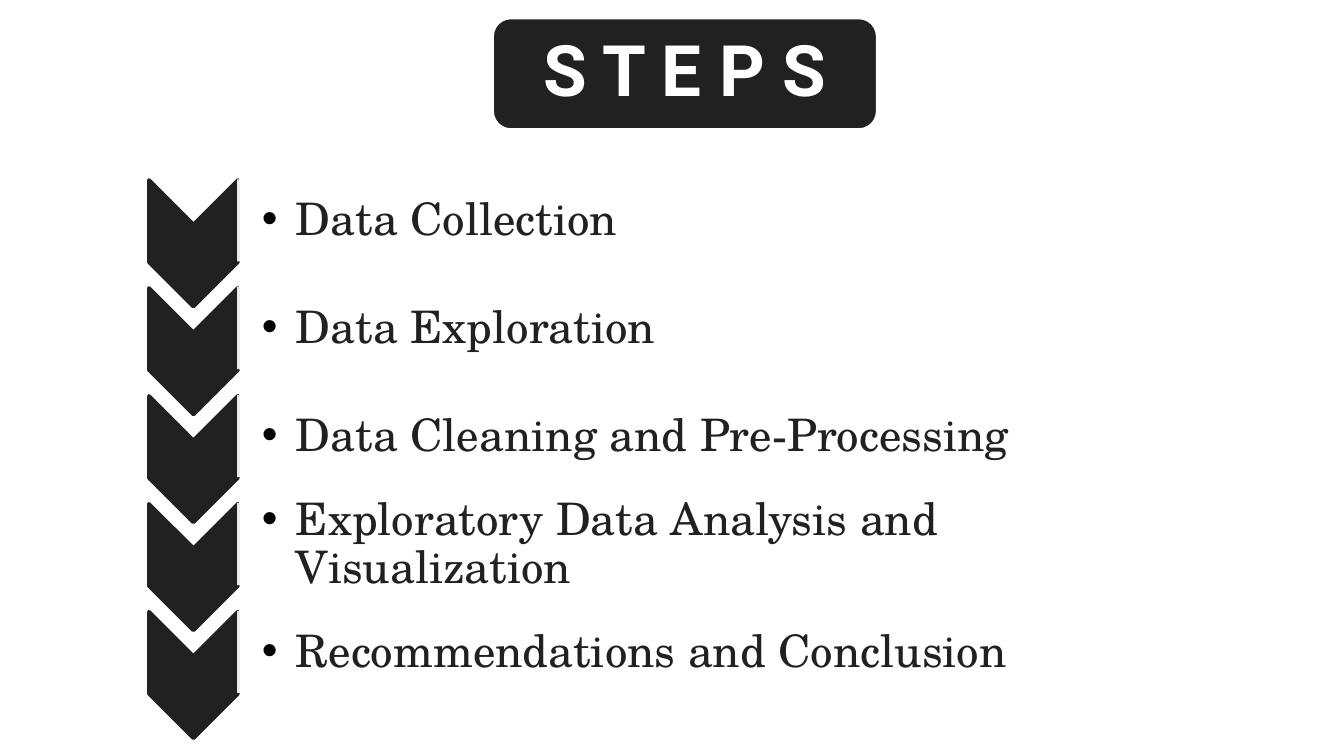
"""Build a slide listing the five project steps beside a column of chevrons."""
import dataclasses

import lxml.etree
import pptx
import pptx.dml.color
import pptx.enum.shapes
import pptx.enum.text
import pptx.oxml.ns
import pptx.util

Cm = pptx.util.Cm
Pt = pptx.util.Pt
Shapes = pptx.enum.shapes.MSO_SHAPE
qn = pptx.oxml.ns.qn

DARK = "212121"
WHITE = "FFFFFF"
BLACK = "000000"
PITCH = 2.04


@dataclasses.dataclass
class Area:
    left: float
    top: float
    width: float
    height: float

    def lengths(self):
        return [Cm(value) for value in dataclasses.astuple(self)]

    def lowered(self, distance: float):
        return dataclasses.replace(self, top=self.top + distance)


@dataclasses.dataclass
class Step:
    label: str
    offset: float


BADGE = Area(9.3, 0.33, 7.29, 2.13)
TITLE = Area(9.4, 0.43, 7.09, 1.93)
CHEVRON = Area(2.46, 3.76, 2.39, 1.68)
PANEL = Area(13, -5.13, 1.55, 18.59)
LABEL = Area(4.47, 3.48, 18.52, 1.4)

LABELS = [
    "Data Collection",
    "Data Exploration",
    "Data Cleaning and Pre-Processing",
    "Exploratory Data Analysis and Visualization",
    "Recommendations and Conclusion",
]


def paint(color_owner, color: str) -> None:
    color_owner.solid()
    color_owner.fore_color.rgb = pptx.dml.color.RGBColor.from_string(color)


def add_block(slide, kind, area: Area, fill: str, line: str | None = None,
              rotation: float = 0):
    block = slide.shapes.add_shape(kind, *area.lengths())
    block.shadow.inherit = False
    block.rotation = rotation
    paint(block.fill, fill)
    if line:
        paint(block.line.fill, line)
        block.line.width = Pt(2)
    else:
        block.line.fill.background()
    return block


def set_text(box, text: str, font: str, size: float, color: str,
             sides: tuple[float, float], ends: float, bold: bool = False):
    frame = box.text_frame
    frame.text = text
    frame.word_wrap = True
    frame.auto_size = pptx.enum.text.MSO_AUTO_SIZE.NONE
    frame.vertical_anchor = pptx.enum.text.MSO_ANCHOR.MIDDLE
    frame.margin_left, frame.margin_right = Cm(sides[0]), Cm(sides[1])
    frame.margin_top = frame.margin_bottom = Cm(ends)
    para = frame.paragraphs[0]
    para.line_spacing = 0.9
    span = para.runs[0]
    span.font.name = font
    span.font.size = Pt(size)
    span.font.bold = bold
    paint(span.font.fill, color)
    return para


def add_bullet(para, color: str) -> None:
    properties = para._p.get_or_add_pPr()
    properties.set("marL", str(Cm(0.64)))
    properties.set("indent", str(-Cm(0.64)))
    bullet_color = lxml.etree.SubElement(properties, qn("a:buClr"))
    lxml.etree.SubElement(bullet_color, qn("a:srgbClr"), val=color)
    lxml.etree.SubElement(properties, qn("a:buFont"), typeface="Arial")
    lxml.etree.SubElement(properties, qn("a:buChar"), char="•")


def add_title(slide) -> None:
    add_block(slide, Shapes.ROUNDED_RECTANGLE, BADGE, DARK, WHITE)
    title = slide.shapes.title
    title.left, title.top, title.width, title.height = TITLE.lengths()
    para = set_text(title, "S T E P S", "Roboto", 38, WHITE, (0.41, 0.41), 0.2, True)
    para.alignment = pptx.enum.text.PP_ALIGN.CENTER
    slide.shapes._spTree.append(title._element)


def add_step(slide, step: Step) -> None:
    add_block(slide, Shapes.CHEVRON, CHEVRON.lowered(step.offset), DARK, DARK, 90)
    panel = add_block(slide, Shapes.ROUND_2_SAME_RECTANGLE,
                      PANEL.lowered(step.offset), WHITE, rotation=90)
    panel_color = panel._element.spPr.find(qn("a:solidFill"))[0]
    lxml.etree.SubElement(panel_color, qn("a:alpha"), val="90000")
    box = slide.shapes.add_textbox(*LABEL.lowered(step.offset).lengths())
    para = set_text(box, step.label, "TeX Gyre Schola", 24, DARK, (0.48, 0.05), 0.05)
    add_bullet(para, BLACK)


def main() -> None:
    deck = pptx.Presentation()
    deck.slide_width, deck.slide_height = Cm(25.4), Cm(14.29)
    slide = deck.slides.add_slide(deck.slide_layouts.get_by_name("Title Only"))
    add_title(slide)
    for index, label in enumerate(LABELS):
        add_step(slide, Step(label, index * PITCH))
    deck.save("out.pptx")


if __name__ == "__main__":
    main()
